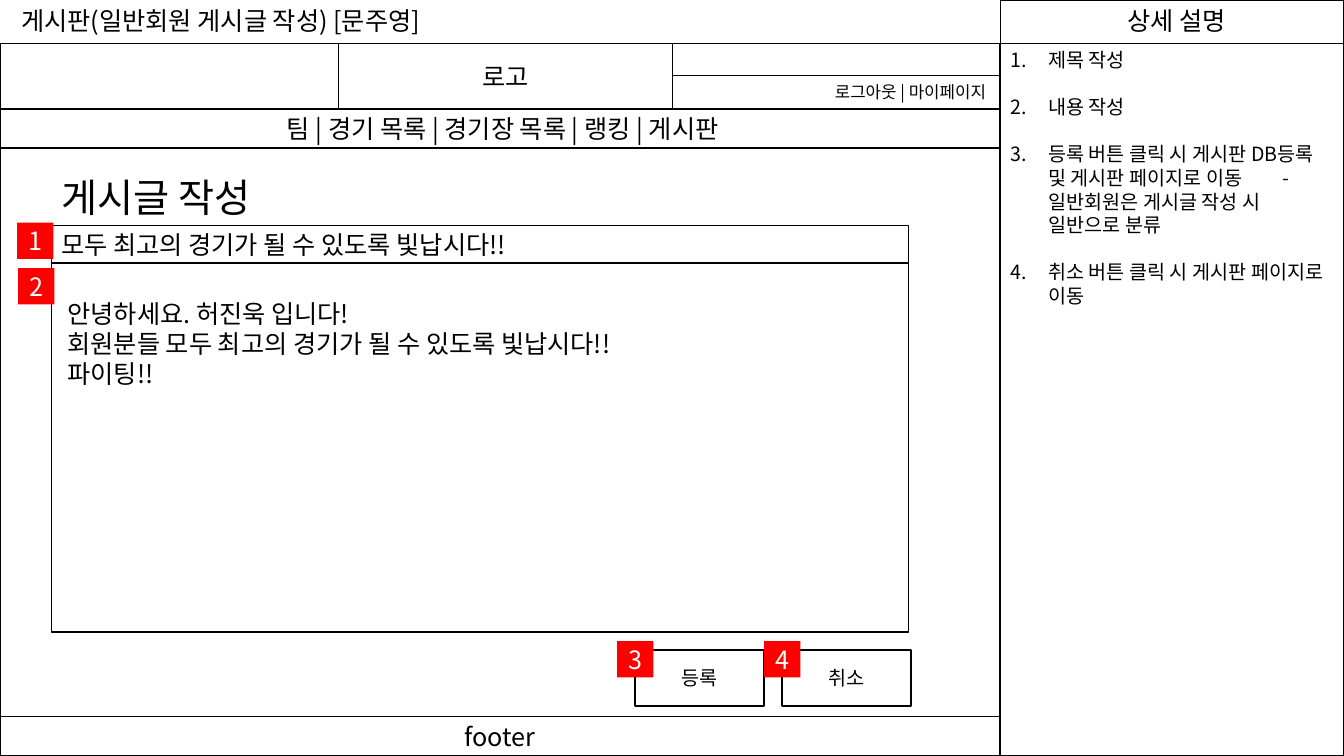
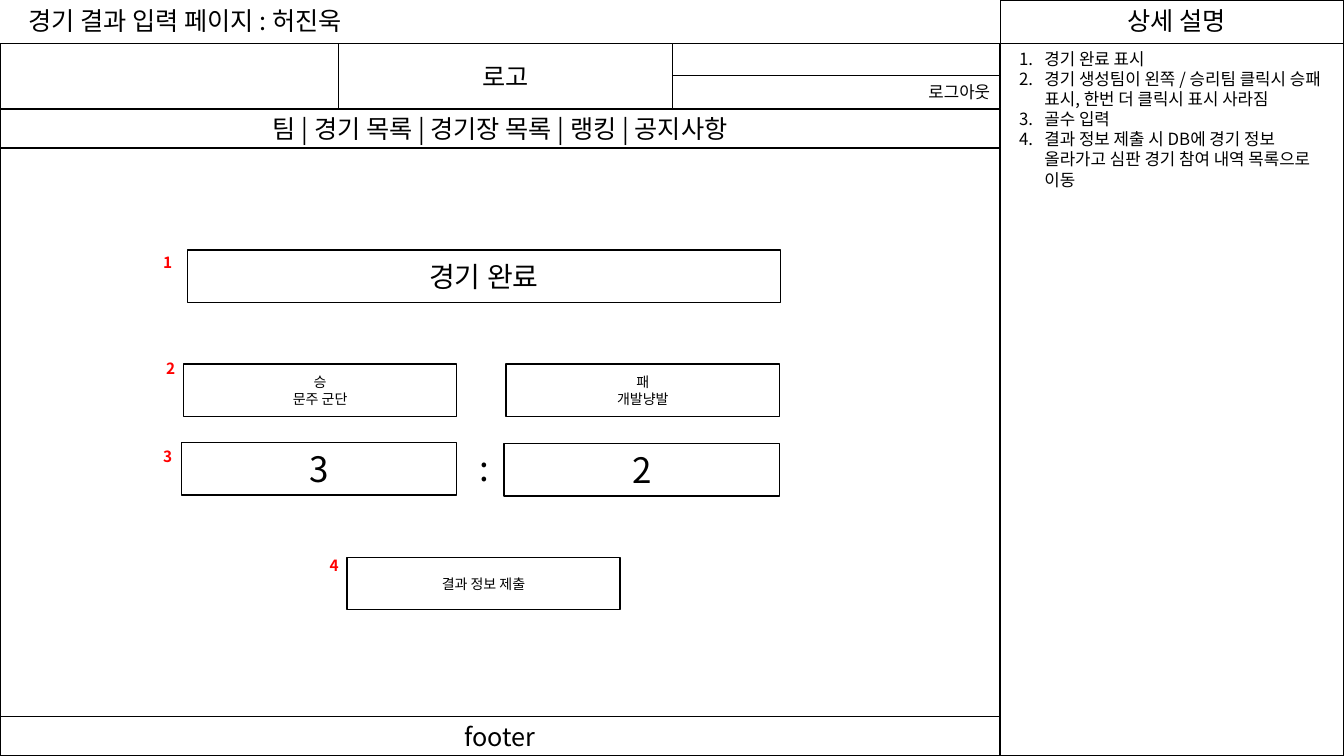
from typing import NamedTuple

from lxml.etree import SubElement
from pptx import Presentation
from pptx.dml.color import RGBColor
from pptx.enum.shapes import MSO_SHAPE
from pptx.enum.text import MSO_ANCHOR, PP_ALIGN
from pptx.oxml.ns import qn
from pptx.util import Inches, Pt

BLACK = RGBColor(0, 0, 0)
WHITE = RGBColor(255, 255, 255)
RED = RGBColor(255, 0, 0)
FONT = "Noto Sans CJK KR"

# Page frame shared by both wireframes
SLIDE_W, SLIDE_H = 13.33, 7.5
PAGE_W = 9.92
TOP_H = 0.43
NAV_TOP, BAND_H = 1.08, 0.39
BODY_TOP = NAV_TOP + BAND_H
FOOTER_TOP = SLIDE_H - BAND_H
LOGO_LEFT, LOGO_W = 3.36, 3.31
ACCOUNT_LEFT, ACCOUNT_TOP = LOGO_LEFT + LOGO_W, 0.75


class Area(NamedTuple):
    left: float
    top: float
    width: float
    height: float

    def lengths(self) -> list:
        return [Inches(value) for value in self]


class Insets(NamedTuple):
    left: float = 0.1
    top: float = 0.05
    right: float = 0.1
    bottom: float = 0.05


class Field(NamedTuple):
    text: str
    area: Area
    size: float


class Marker(NamedTuple):
    number: str
    left: float
    top: float


def write(shape, text: str, *, size: float, color=BLACK, bold=False,
          align=PP_ALIGN.LEFT, anchor=MSO_ANCHOR.TOP, insets=Insets(),
          space_after=0.0) -> None:
    """Fill a shape with text, one paragraph per line."""
    frame = shape.text_frame
    frame.word_wrap = True
    frame.vertical_anchor = anchor
    frame.margin_left, frame.margin_top = Inches(insets.left), Inches(insets.top)
    frame.margin_right, frame.margin_bottom = Inches(insets.right), Inches(insets.bottom)
    frame.text = text
    for paragraph in frame.paragraphs:
        paragraph.alignment = align
        paragraph.space_before = Pt(0)
        paragraph.space_after = Pt(space_after)
        for run in paragraph.runs:
            run.font.name = FONT
            run.font.size = Pt(size)
            run.font.bold = bold
            run.font.color.rgb = color
            SubElement(run.font._element, qn("a:ea"), typeface=FONT)


def add_box(slide, area: Area, text="", *, fill=WHITE, line=BLACK, line_width=1.0,
            align=PP_ALIGN.CENTER, anchor=MSO_ANCHOR.MIDDLE, **text_format) -> None:
    box = slide.shapes.add_shape(MSO_SHAPE.RECTANGLE, *area.lengths())
    box.shadow.inherit = False
    box.fill.solid()
    box.fill.fore_color.rgb = fill
    if line is None:
        box.line.fill.background()
    else:
        box.line.color.rgb = line
        box.line.width = Pt(line_width)
    if text:
        write(box, text, align=align, anchor=anchor, **text_format)


def add_label(slide, area: Area, text: str, **text_format):
    label = slide.shapes.add_textbox(*area.lengths())
    write(label, text, **text_format)
    return label


def add_notes_list(slide, area: Area, items: list[str], *, indent: float,
                   tab_stop=0.0, **text_format) -> None:
    """Numbered explanations in the side panel."""
    notes = add_label(slide, area, "\n".join(items), **text_format)
    for paragraph in notes.text_frame.paragraphs:
        properties = paragraph._p.get_or_add_pPr()
        properties.set("marL", str(Inches(indent)))
        properties.set("indent", str(-Inches(indent)))
        SubElement(properties, qn("a:buAutoNum"), type="arabicPeriod")
        if tab_stop:
            tabs = SubElement(properties, qn("a:tabLst"))
            SubElement(tabs, qn("a:tab"), pos=str(Inches(tab_stop)), algn="l")


def add_page(deck, title: str, title_left: float, menu: str, account: str, *,
             menu_insets=Insets(), account_insets=Insets()):
    """Title, side panel, header, menu band and footer."""
    slide = deck.slides.add_slide(deck.slide_layouts[5])
    heading = slide.shapes.title
    heading.left, heading.top, heading.width, heading.height = Area(
        title_left, 0, 5.33, 0.4).lengths()
    write(heading, title, size=18)

    # Side panel
    panel_w = SLIDE_W - PAGE_W
    add_box(slide, Area(PAGE_W, TOP_H, panel_w, SLIDE_H - TOP_H))
    add_box(slide, Area(PAGE_W, 0, panel_w, TOP_H))
    add_label(slide, Area(11.08, 0, 1.3, 0.4), "상세 설명", size=18)

    # Page outline and header
    add_box(slide, Area(0, BODY_TOP, PAGE_W, FOOTER_TOP - BODY_TOP))
    add_box(slide, Area(0, TOP_H, PAGE_W, BODY_TOP - TOP_H))
    add_box(slide, Area(LOGO_LEFT, TOP_H, LOGO_W, NAV_TOP - TOP_H), "로고", size=18)
    add_box(slide, Area(0, NAV_TOP, PAGE_W, BAND_H), menu, size=18, insets=menu_insets)
    add_box(slide, Area(ACCOUNT_LEFT, ACCOUNT_TOP, PAGE_W - ACCOUNT_LEFT,
                        NAV_TOP - ACCOUNT_TOP),
            account, size=12, align=PP_ALIGN.RIGHT, insets=account_insets)
    add_box(slide, Area(0, FOOTER_TOP, PAGE_W, BAND_H), "footer", size=18)
    return slide


def build_post_page(deck) -> None:
    slide = add_page(deck, "게시판(일반회원 게시글 작성) [문주영]", 0.11,
                     "팀 | 경기 목록 | 경기장 목록 | 랭킹 | 게시판",
                     "로그아웃 | 마이페이지",
                     menu_insets=Insets(left=0.15), account_insets=Insets(right=0.14))
    add_notes_list(slide, Area(PAGE_W, TOP_H, 3.41, 2.93), [
        "제목 작성",
        "내용 작성",
        "등록 버튼 클릭 시 게시판 DB등록 및 게시판 페이지로 이동\t- 일반회원은 게시글 작성 시 일반으로 분류",
        "취소 버튼 클릭 시 게시판 페이지로 이동",
    ], indent=0.38, tab_stop=2.7, size=14, space_after=16.8)

    # Post form
    form_left, form_w = 0.51, 8.5
    add_label(slide, Area(form_left, 1.67, 2.3, 0.57), "게시글 작성", size=28)
    add_box(slide, Area(form_left, 2.24, form_w, 0.37),
            "모두 최고의 경기가 될 수 있도록 빛납시다!!", size=18, align=PP_ALIGN.LEFT)
    add_box(slide, Area(form_left, 2.61, form_w, 3.66),
            "안녕하세요. 허진욱 입니다!\n"
            "회원분들 모두 최고의 경기가 될 수 있도록 빛납시다!!\n"
            "파이팅!!",
            size=18, align=PP_ALIGN.LEFT, anchor=MSO_ANCHOR.TOP,
            insets=Insets(left=0.16, top=0.35))

    # Buttons and red number markers
    for caption, left in (("등록", 6.3), ("취소", 7.76)):
        add_box(slide, Area(left, 6.45, 1.28, 0.55), caption, size=14, line_width=1.5)
    markers = [Marker("1", 0.17, 2.21), Marker("2", 0.18, 2.66),
               Marker("3", 6.12, 6.36), Marker("4", 7.58, 6.36)]
    for marker in markers:
        add_box(slide, Area(marker.left, marker.top, 0.36, 0.36), marker.number,
                fill=RED, line=None, size=18, color=WHITE)


def build_result_page(deck) -> None:
    slide = add_page(deck, "경기 결과 입력 페이지 : 허진욱", 0.18,
                     "팀 | 경기 목록 | 경기장 목록 | 랭킹 | 공지사항", "로그아웃")
    add_notes_list(slide, Area(10.01, TOP_H, 3.21, 1.72), [
        "경기 완료 표시",
        "경기 생성팀이 왼쪽 / 승리팀 클릭시 승패 표시, 한번 더 클릭시 표시 사라짐",
        "골수 입력",
        "결과 정보 제출 시 DB에 경기 정보 올라가고 심판 경기 참여 내역 목록으로 이동",
    ], indent=0.25, size=12)

    # Match status, teams, scores and submit button
    field_h = 0.52
    fields = [
        Field("경기 완료", Area(1.86, 2.48, 5.88, field_h), 20),
        Field("승\n문주 군단", Area(1.82, 3.61, 2.71, field_h), 10),
        Field("패\n개발냥발", Area(5.02, 3.61, 2.71, field_h), 10),
        Field("3", Area(1.8, 4.39, 2.73, field_h), 25),
        Field("2", Area(5, 4.4, 2.73, field_h), 25),
        Field("결과 정보 제출", Area(3.44, 5.53, 2.71, field_h), 10),
    ]
    for field in fields:
        add_box(slide, field.area, field.text, size=field.size)
    add_label(slide, Area(4.66, 4.38, 0.28, field_h), ":", size=25)

    # Red numbers
    markers = [Marker("1", 1.52, 2.46), Marker("2", 1.55, 3.51),
               Marker("3", 1.52, 4.39), Marker("4", 3.17, 5.47)]
    for marker in markers:
        add_label(slide, Area(marker.left, marker.top, 0.38, 0.29), marker.number,
                  size=11, color=RED, bold=True)


def main() -> None:
    deck = Presentation()
    deck.slide_width, deck.slide_height = Inches(SLIDE_W), Inches(SLIDE_H)
    build_post_page(deck)
    build_result_page(deck)
    deck.save("out.pptx")


if __name__ == "__main__":
    main()
